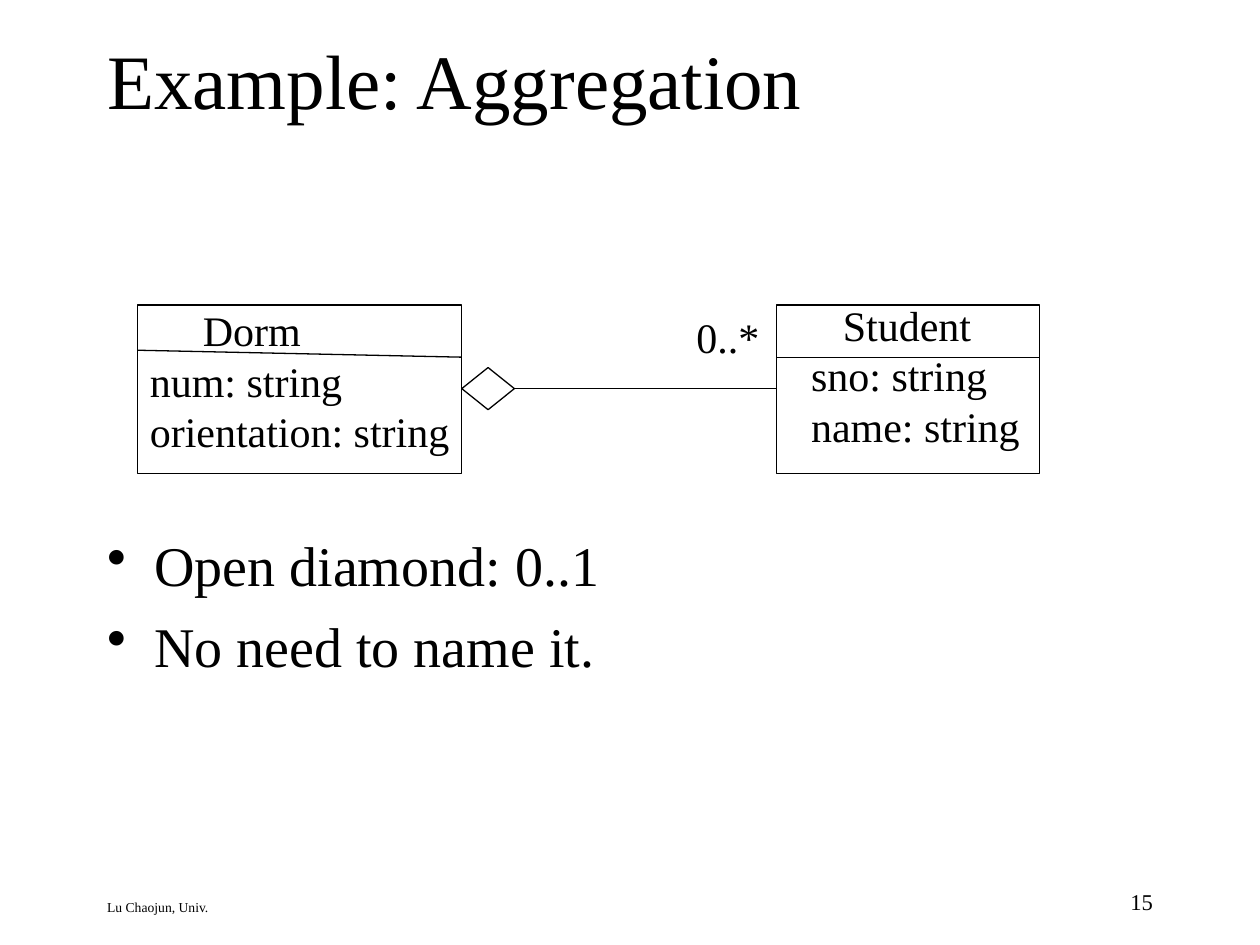
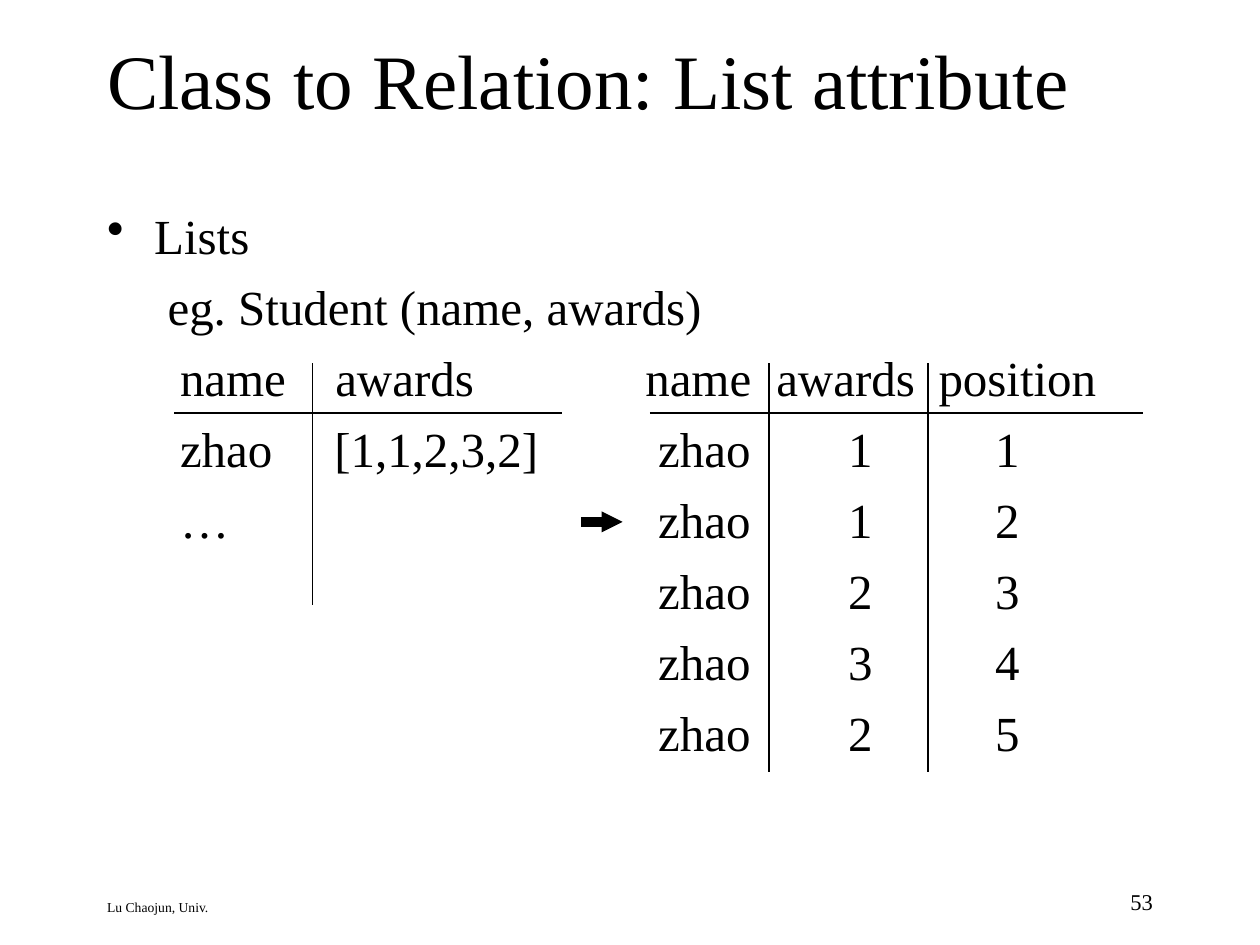
from dataclasses import dataclass
from typing import NamedTuple

from lxml.etree import SubElement
from pptx import Presentation
from pptx.dml.color import RGBColor
from pptx.enum.shapes import MSO_CONNECTOR, MSO_SHAPE
from pptx.enum.text import MSO_ANCHOR, PP_ALIGN
from pptx.oxml.ns import qn
from pptx.shapes.autoshape import Shape
from pptx.slide import Slide
from pptx.util import Cm, Pt

INK = "000000"
PAPER = "FFFFFF"
FONT = "Times New Roman"
FOOTER = "Lu Chaojun, Univ."
LINE_HEIGHT = 1.2
HANGING = 0.95
MARGIN = 1.91
CONTENT_WIDTH = 21.59
CLASS_SIZE = 24
CLASS_TOP = 6.15
CLASS_HEIGHT = 3.39
RULE_TOP = 7.32
HEADER_RULE = 8.33


class Box(NamedTuple):
    """Position and size in centimetres."""

    left: float
    top: float
    width: float
    height: float


class Segment(NamedTuple):
    """Straight line between two points in centimetres."""

    x1: float
    y1: float
    x2: float
    y2: float


@dataclass(frozen=True)
class Para:
    """One paragraph and its layout."""

    text: str
    bullet: bool = False
    indent: float = 0
    tabs: tuple[float, ...] = ()
    align: PP_ALIGN = PP_ALIGN.LEFT


@dataclass(frozen=True)
class ClassBox:
    """UML class with a name, attributes and a divider."""

    name: str
    attributes: tuple[str, ...]
    left: float
    width: float
    text_box: Box
    name_indent: float
    divider_start: float


@dataclass(frozen=True)
class Relation:
    """Rules of a relation drawn as a grid."""

    left: float
    right: float
    bottom: float
    column_rules: tuple[float, ...]


CLASSES = (
    ClassBox("Dorm", ("num: string", "orientation: string"), 2.77, 6.54,
             Box(2.77, 6.02, 8.03, 3.3), 1.07, 7.06),
    ClassBox("Student", ("sno: string", "name: string"), 15.66, 5.29,
             Box(16.1, 5.91, 5.2, 3.3), 0.64, 7.2),
)
DIVIDER_END = 7.2
DIAMOND = Box(9.31, 7.41, 1.06, 0.85)

RELATIONS = (
    Relation(3.51, 11.33, 12.19, (6.3,)),
    Relation(13.1, 23.05, 15.57, (15.5, 18.7)),
)
HEADER_TABS = (1.47, 4.6, 10.85, 13.49, 16.76)
RECORD_TABS = (1.47, 4.58, 11.11, 14.94, 17.9)
HEADER = ("name", "awards", "name", "awards", "position")
LIST_RECORDS = (("zhao", "[1,1,2,3,2]"), ("…", ""))
AWARDS = (1, 1, 2, 3, 2)


def color(value: str) -> RGBColor:
    """Turn a hex string into a colour."""
    return RGBColor.from_string(value)


def add_bullet(properties) -> None:
    """Give a paragraph a round bullet with a hanging indent."""
    properties.set("marL", str(Cm(HANGING)))
    properties.set("indent", str(-Cm(HANGING)))
    tint = SubElement(properties, qn("a:buClr"))
    SubElement(tint, qn("a:srgbClr"), val=INK)
    SubElement(properties, qn("a:buChar"), char="•")


def add_tabs(properties, stops: tuple[float, ...]) -> None:
    """Give a paragraph left tab stops."""
    tab_list = SubElement(properties, qn("a:tabLst"))
    for stop in stops:
        SubElement(tab_list, qn("a:tab"), pos=str(Cm(stop)), algn="l")


def add_text(slide: Slide, box: Box, paras: list[Para], size: float,
             space_before: float = 0, anchor: MSO_ANCHOR = MSO_ANCHOR.TOP) -> None:
    """Add a text box holding the given paragraphs."""
    frame = slide.shapes.add_textbox(*map(Cm, box)).text_frame
    frame.word_wrap = True
    frame.vertical_anchor = anchor
    for index, para in enumerate(paras):
        paragraph = frame.add_paragraph() if index else frame.paragraphs[0]
        properties = paragraph._p.get_or_add_pPr()
        if para.bullet:
            add_bullet(properties)
        elif para.indent:
            properties.set("marL", str(Cm(para.indent)))
        if para.tabs:
            add_tabs(properties, para.tabs)
        paragraph.alignment = para.align
        paragraph.line_spacing = Pt(size * LINE_HEIGHT)
        if index and space_before:
            paragraph.space_before = Pt(space_before)
        run = paragraph.add_run()
        run.text = para.text
        run.font.name = FONT
        run.font.size = Pt(size)
        run.font.color.rgb = color(INK)


def add_outline(slide: Slide, kind: MSO_SHAPE, box: Box) -> Shape:
    """Add an unfilled shape with a thin line."""
    outline = slide.shapes.add_shape(kind, *map(Cm, box))
    outline.shadow.inherit = False
    outline.fill.background()
    outline.line.color.rgb = color(INK)
    outline.line.width = Pt(0.75)
    return outline


def add_line(slide: Slide, segment: Segment, width: float, arrow: bool = False) -> None:
    """Add a straight line, with a small arrowhead at its end if asked."""
    line = slide.shapes.add_connector(MSO_CONNECTOR.STRAIGHT, *map(Cm, segment))
    line.line.color.rgb = color(INK)
    line.line.width = Pt(width)
    if arrow:
        SubElement(line.line._get_or_add_ln(), qn("a:tailEnd"),
                   type="triangle", w="sm", len="sm")
    SubElement(line._element.spPr, qn("a:effectLst"))


def add_page(deck: Presentation, title: str, number: int) -> Slide:
    """Add a slide with the shared title and footer."""
    slide = deck.slides.add_slide(deck.slide_layouts[6])
    slide.background.fill.solid()
    slide.background.fill.fore_color.rgb = color(PAPER)
    add_text(slide, Box(MARGIN, 0, CONTENT_WIDTH, 3.18), [Para(title)], 44,
             anchor=MSO_ANCHOR.MIDDLE)
    add_text(slide, Box(MARGIN, 17.99, 14.73, 0.64), [Para(FOOTER)], 7.8)
    add_text(slide, Box(18.2, 17.78, 5.29, 0.85),
             [Para(str(number), align=PP_ALIGN.RIGHT)], 12.9)
    return slide


def add_class(slide: Slide, item: ClassBox) -> None:
    """Draw one UML class."""
    paras = [Para(item.name, indent=item.name_indent), *map(Para, item.attributes)]
    add_text(slide, item.text_box, paras, CLASS_SIZE)
    add_outline(slide, MSO_SHAPE.RECTANGLE,
                Box(item.left, CLASS_TOP, item.width, CLASS_HEIGHT))
    add_line(slide, Segment(item.left, item.divider_start,
                            item.left + item.width, DIVIDER_END), 0.75)


def add_relation(slide: Slide, relation: Relation) -> None:
    """Draw the rules of one relation."""
    add_line(slide, Segment(relation.left, HEADER_RULE, relation.right, HEADER_RULE), 1)
    for x in relation.column_rules:
        add_line(slide, Segment(x, RULE_TOP, x, relation.bottom), 1)


def tabbed(cells: tuple[str, ...], stops: tuple[float, ...]) -> Para:
    """Set cells at tab stops, leaving out the leading empty columns."""
    first = next(i for i, cell in enumerate(cells) if cell)
    return Para("\t" + "\t".join(cells[first:]), tabs=stops[first:])


def build_aggregation(deck: Presentation) -> None:
    """Build the aggregation example."""
    slide = add_page(deck, "Example: Aggregation", 15)
    notes = ("Open diamond: 0..1", "No need to name it.")
    add_text(slide, Box(MARGIN, 10.57, CONTENT_WIDTH, 6.35),
             [Para(note, bullet=True) for note in notes], 32, space_before=8)
    for item in CLASSES:
        add_class(slide, item)
    add_outline(slide, MSO_SHAPE.DIAMOND, DIAMOND)
    middle = DIAMOND.top + DIAMOND.height / 2
    add_line(slide, Segment(DIAMOND.left + DIAMOND.width, middle,
                            CLASSES[1].left, middle), 0.75)
    add_text(slide, Box(9.57, CLASS_TOP, 5.99, 1.27),
             [Para("0..*", align=PP_ALIGN.RIGHT)], CLASS_SIZE)


def build_list_attribute(deck: Presentation) -> None:
    """Build the list attribute example."""
    slide = add_page(deck, "Class to Relation: List attribute", 53)
    paras = [
        Para("Lists", bullet=True),
        Para("eg. Student (name, awards)", indent=1.22),
        tabbed(HEADER, HEADER_TABS),
    ]
    for index, award in enumerate(AWARDS):
        source = LIST_RECORDS[index] if index < len(LIST_RECORDS) else ("", "")
        paras.append(tabbed((*source, "zhao", str(award), str(index + 1)), RECORD_TABS))
    add_text(slide, Box(MARGIN, 4.02, CONTENT_WIDTH, 12.91), paras, 28, space_before=7)
    for relation in RELATIONS:
        add_relation(slide, relation)
    add_line(slide, Segment(11.71, 10.52, 12.55, 10.52), 6, arrow=True)


def main() -> None:
    """Build and save the slides."""
    deck = Presentation()
    deck.slide_width, deck.slide_height = Cm(25.4), Cm(19.05)
    build_aggregation(deck)
    build_list_attribute(deck)
    deck.save("out.pptx")


if __name__ == "__main__":
    main()
